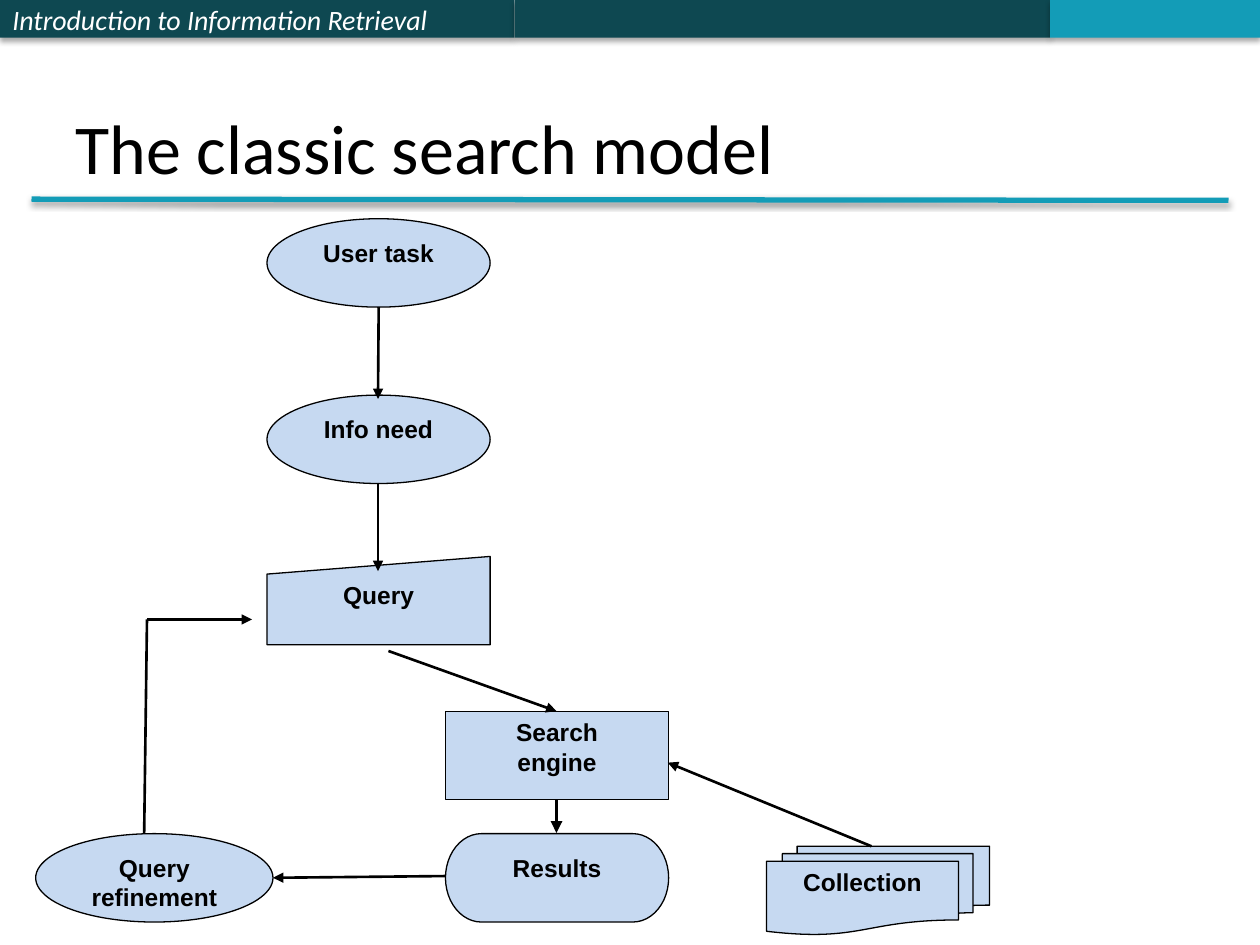
from lxml import etree
from pptx import Presentation
from pptx.dml.color import RGBColor
from pptx.enum import shapes, text
from pptx.oxml.ns import qn
from pptx.util import Pt

BLACK, WHITE = "000000", "FFFFFF"
DARK_TEAL, TEAL, PALE_BLUE = "0E4851", "139CB7", "C6D9F1"
NODE_WIDTH, NODE_HEIGHT = 127.5, 50.5
Kind = shapes.MSO_SHAPE


def color(hex_code):
    return RGBColor.from_string(hex_code)


def style_text(frame, size, hex_code, font, align, bold=False, italic=False):
    for paragraph in frame.paragraphs:
        paragraph.alignment = align
        for run in paragraph.runs:
            run.font.name = font
            run.font.size = Pt(size)
            run.font.bold = bold
            run.font.italic = italic
            run.font.color.rgb = color(hex_code)


def add_shadow(effects, opacity, distance):
    shadow = etree.SubElement(
        effects, qn("a:outerShdw"), blurRad=str(Pt(3.1)), dist=str(Pt(distance)),
        dir="5400000", rotWithShape="0")
    tint = etree.SubElement(shadow, qn("a:srgbClr"), val=BLACK)
    etree.SubElement(tint, qn("a:alpha"), val=str(opacity * 1000))


def add_block(slide, kind, left, top, width, height, fill):
    block = slide.shapes.add_shape(kind, Pt(left), Pt(top), Pt(width), Pt(height))
    block.shadow.inherit = False
    block.fill.solid()
    block.fill.fore_color.rgb = color(fill)
    return block


def add_bar(slide, left, width, fill, label=""):
    bar = add_block(slide, Kind.RECTANGLE, left, 0, width, 21.6, fill)
    bar.line.fill.background()
    add_shadow(bar._element.spPr.find(qn("a:effectLst")), 35, 1.8)
    if label:
        bar.text_frame.text = label
        bar.text_frame.vertical_anchor = text.MSO_ANCHOR.MIDDLE
        style_text(bar.text_frame, 16, WHITE, "Calibri", text.PP_ALIGN.LEFT, italic=True)


def add_node(slide, kind, left, top, label, width=NODE_WIDTH):
    node = add_block(slide, kind, left, top, width, NODE_HEIGHT, PALE_BLUE)
    node.line.color.rgb = color(BLACK)
    node.line.width = Pt(0.75)
    node.text_frame.text = label
    node.text_frame.vertical_anchor = text.MSO_ANCHOR.TOP
    style_text(node.text_frame, 14, BLACK, "Arial", text.PP_ALIGN.CENTER, bold=True)


def add_line(slide, start, end, width=1.5, hex_code=BLACK, arrow=True):
    line = slide.shapes.add_connector(
        shapes.MSO_CONNECTOR.STRAIGHT, *(Pt(value) for value in (*start, *end)))
    line.line.color.rgb = color(hex_code)
    line.line.width = Pt(width)
    if arrow:
        etree.SubElement(line.line._get_or_add_ln(), qn("a:tailEnd"), type="triangle")
    return etree.SubElement(line._element.spPr, qn("a:effectLst"))


def add_title(slide, wording):
    title = slide.shapes.title
    title.left, title.top, title.width, title.height = Pt(36), Pt(21.6), Pt(648), Pt(90)
    title.text_frame.text = wording
    title.text_frame.auto_size = text.MSO_AUTO_SIZE.NONE
    title.text_frame.vertical_anchor = text.MSO_ANCHOR.BOTTOM
    style_text(title.text_frame, 40, BLACK, "Calibri", text.PP_ALIGN.LEFT)


def main():
    deck = Presentation()
    deck.slide_width, deck.slide_height = Pt(720), Pt(540)
    slide = deck.slides.add_slide(deck.slide_layouts[5])

    add_bar(slide, 0, 294, DARK_TEAL, "Introduction to Information Retrieval")
    add_bar(slide, 294, 306, DARK_TEAL)
    add_bar(slide, 600, 120, TEAL)
    underline_effects = add_line(slide, (18, 113.8), (702, 114.5), 3, TEAL, arrow=False)
    add_shadow(underline_effects, 38, 1.6)
    add_title(slide, "The classic search model")

    query_left, engine_left, bottom_row = 152.6, 254.6, 476.4
    nodes = [
        (Kind.FLOWCHART_MULTIDOCUMENT, 438, 483.6, "Collection"),
        (Kind.OVAL, query_left, 125, "User task"),
        (Kind.OVAL, query_left, 225.8, "Info need"),
        (Kind.FLOWCHART_MANUAL_INPUT, query_left, 318, "Query"),
        (Kind.FLOWCHART_TERMINATOR, engine_left, bottom_row, "Results"),
        (Kind.FLOWCHART_PROCESS, engine_left, 406.4, "Search\nengine"),
        (Kind.OVAL, 20.4, bottom_row, "Query\nrefinement", 135.6),
    ]
    for node in nodes:
        add_node(slide, *node)

    arrows = [
        ((216.4, 175.5), (216, 228)),
        ((216, 276), (216, 326.4)),
        ((222, 372), (318, 406.4)),
        ((498, 483.6), (381.6, 435.8)),
        ((254.6, 500.6), (156, 501.6)),
        ((84, 354), (144, 354)),
        ((318, 457), (318, 476), 2.25),
    ]
    for arrow in arrows:
        add_line(slide, *arrow)
    add_line(slide, (82.4, bottom_row), (84, 354), arrow=False)

    deck.save("out.pptx")


if __name__ == "__main__":
    main()
